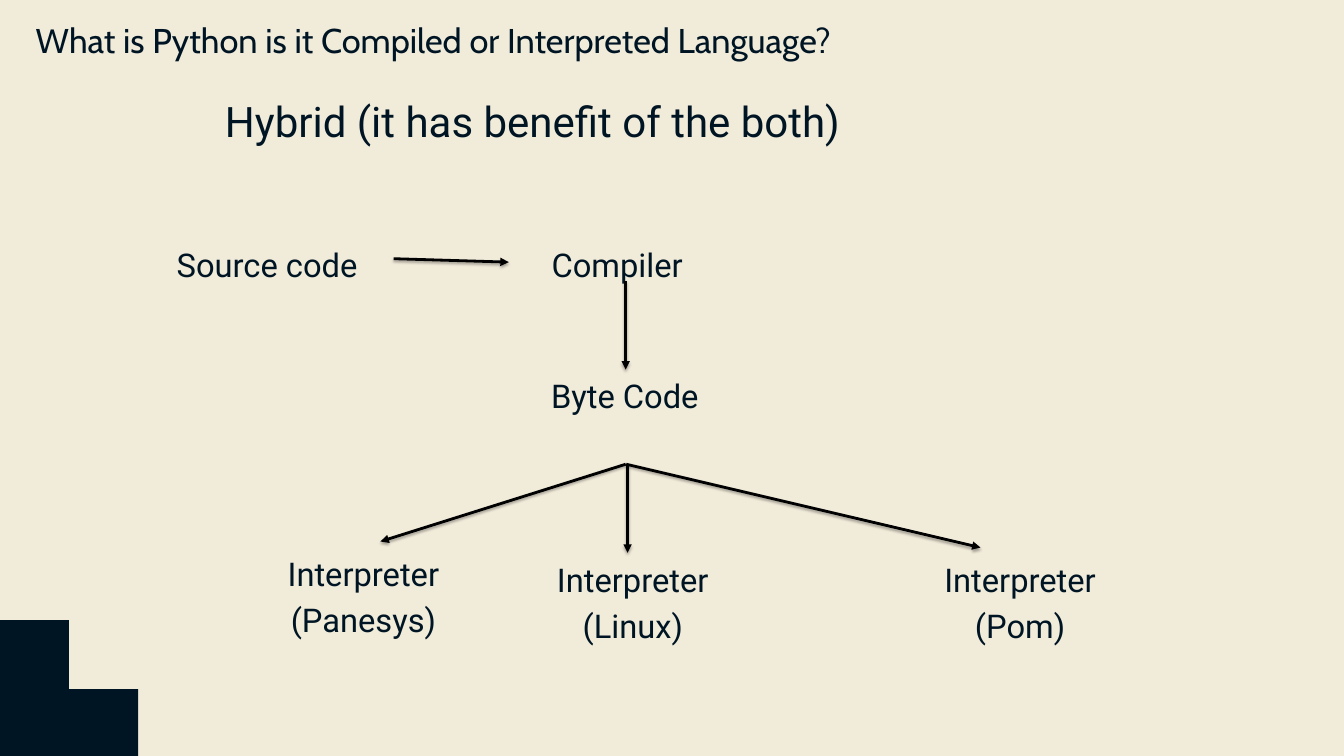
from typing import NamedTuple

from lxml.etree import SubElement
from pptx import Presentation
from pptx.dml.color import RGBColor
from pptx.enum.shapes import MSO_CONNECTOR as Connector, MSO_SHAPE as Shape
from pptx.enum.text import MSO_AUTO_SIZE as AutoSize, PP_ALIGN as Align
from pptx.oxml.ns import qn
from pptx.slide import Slide
from pptx.util import Cm, Pt

CREAM = "F1EBDA"
NAVY = "001524"
BLACK = "000000"
TILE = 2.61


class Label(NamedTuple):
    text: str
    left: float
    top: float
    width: float
    height: float


class Arrow(NamedTuple):
    start: tuple[float, float]
    end: tuple[float, float]


LABELS = [
    Label("Source code", 6.38, 9.02, 7.44, 1.6),
    Label("Compiler", 20.6, 9.02, 5.46, 1.6),
    Label("Byte Code", 20.62, 13.97, 6, 3.38),
    Label("Interpreter\n(Panesys)", 10.44, 20.7, 6.6, 3.33),
    Label("Interpreter\n(Linux)", 20.62, 20.93, 6.6, 3.33),
    Label("Interpreter\n(Pom)", 35.26, 20.93, 6.6, 3.33),
]

ARROWS = [
    Arrow((14.88, 9.78), (19.23, 9.91)),
    Arrow((23.65, 10.62), (23.65, 13.97)),
    Arrow((23.72, 17.55), (23.72, 20.9)),
    Arrow((23.67, 17.55), (37.06, 20.7)),
    Arrow((23.65, 17.55), (14.38, 20.47)),
]


def paint(color_format, color: str) -> None:
    color_format.rgb = RGBColor.from_string(color)


def add_text(page: Slide, label: Label, *, size: float = 35, spacing: float = 49,
             font: str = "Roboto", color: str = NAVY, align=Align.CENTER) -> None:
    box = page.shapes.add_textbox(*map(Cm, label[1:]))
    frame = box.text_frame
    frame.margin_left = frame.margin_top = frame.margin_right = frame.margin_bottom = 0
    frame.word_wrap = True
    frame.auto_size = AutoSize.SHAPE_TO_FIT_TEXT
    frame.text = label.text
    for para in frame.paragraphs:
        para.alignment = align
        para.line_spacing = Pt(spacing)
        for span in para.runs:
            span.font.name = font
            span.font.size = Pt(size)
            paint(span.font.color, color)


def add_tile(page: Slide, left: float, top: float) -> None:
    tile = page.shapes.add_shape(Shape.RECTANGLE, Cm(left), Cm(top), Cm(TILE), Cm(TILE))
    tile.shadow.inherit = False
    tile.fill.solid()
    paint(tile.fill.fore_color, NAVY)
    tile.line.fill.background()


def add_arrow(page: Slide, arrow: Arrow) -> None:
    line = page.shapes.add_connector(Connector.STRAIGHT, *map(Cm, arrow.start + arrow.end))
    line.line.width = Pt(3)
    paint(line.line.color, BLACK)
    SubElement(line.line._get_or_add_ln(), qn("a:tailEnd"), type="triangle")
    effects = SubElement(line._element.spPr, qn("a:effectLst"))
    shadow = SubElement(effects, qn("a:outerShdw"), blurRad=str(Pt(3.1)),
                        dist=str(Pt(1.8)), dir="5400000", rotWithShape="0")
    shade = SubElement(shadow, qn("a:srgbClr"), val=BLACK)
    SubElement(shade, qn("a:alpha"), val="35000")


def main() -> None:
    deck = Presentation()
    deck.slide_width, deck.slide_height = Cm(50.8), Cm(28.58)
    page = deck.slides.add_slide(deck.slide_layouts[6])
    page.background.fill.solid()
    paint(page.background.fill.fore_color, CREAM)

    floor = 26.05
    for column, row in [(0, 0), (1, 0), (0, 1)]:
        add_tile(page, column * TILE, floor - row * TILE)

    title = Label("What is Python is it Compiled or Interpreted Language?", 1.35, 0.48, 34.37, 1.78)
    add_text(page, title, size=36.8, spacing=51.5, font="Cabin", align=Align.LEFT)
    answer = Label("Hybrid (it has benefit of the both)", 6.68, 3.3, 26.9, 2.13)
    add_text(page, answer, size=45, spacing=63)
    for label in LABELS:
        add_text(page, label)
    for arrow in ARROWS:
        add_arrow(page, arrow)

    deck.save("out.pptx")


if __name__ == "__main__":
    main()
